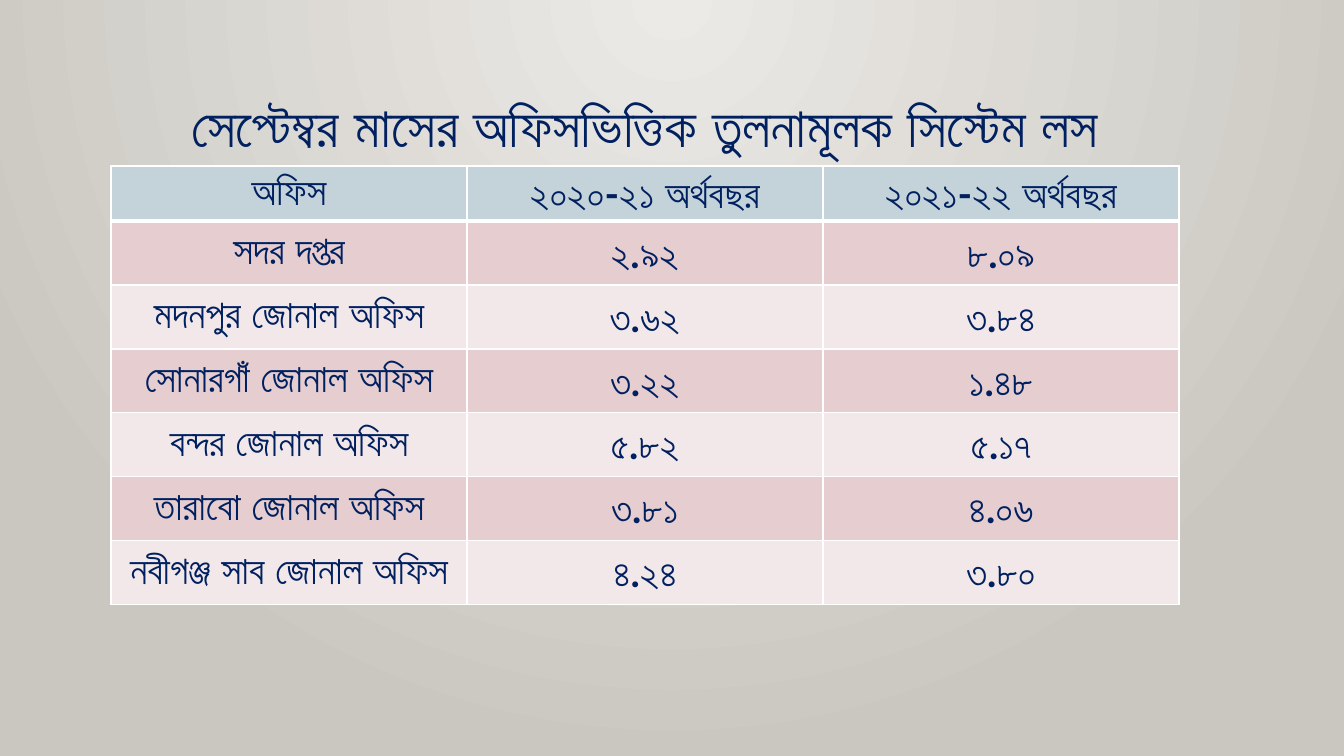
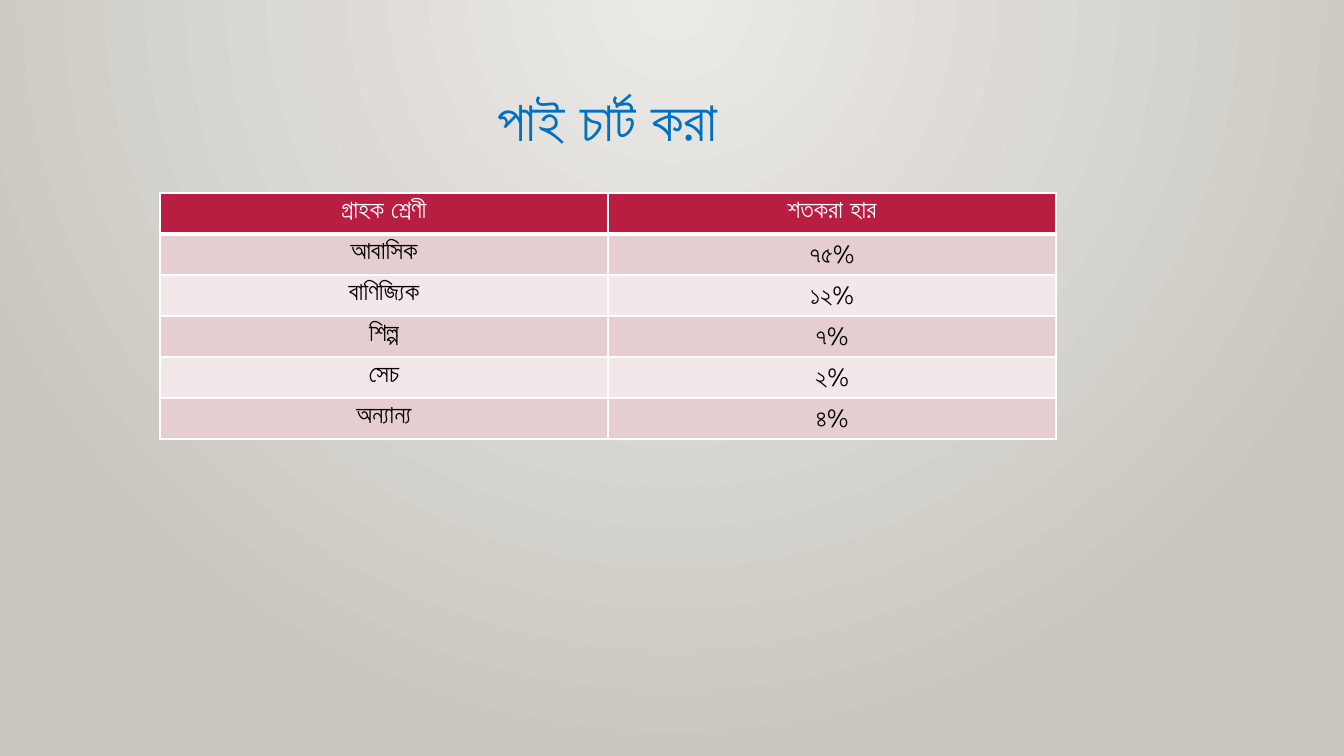
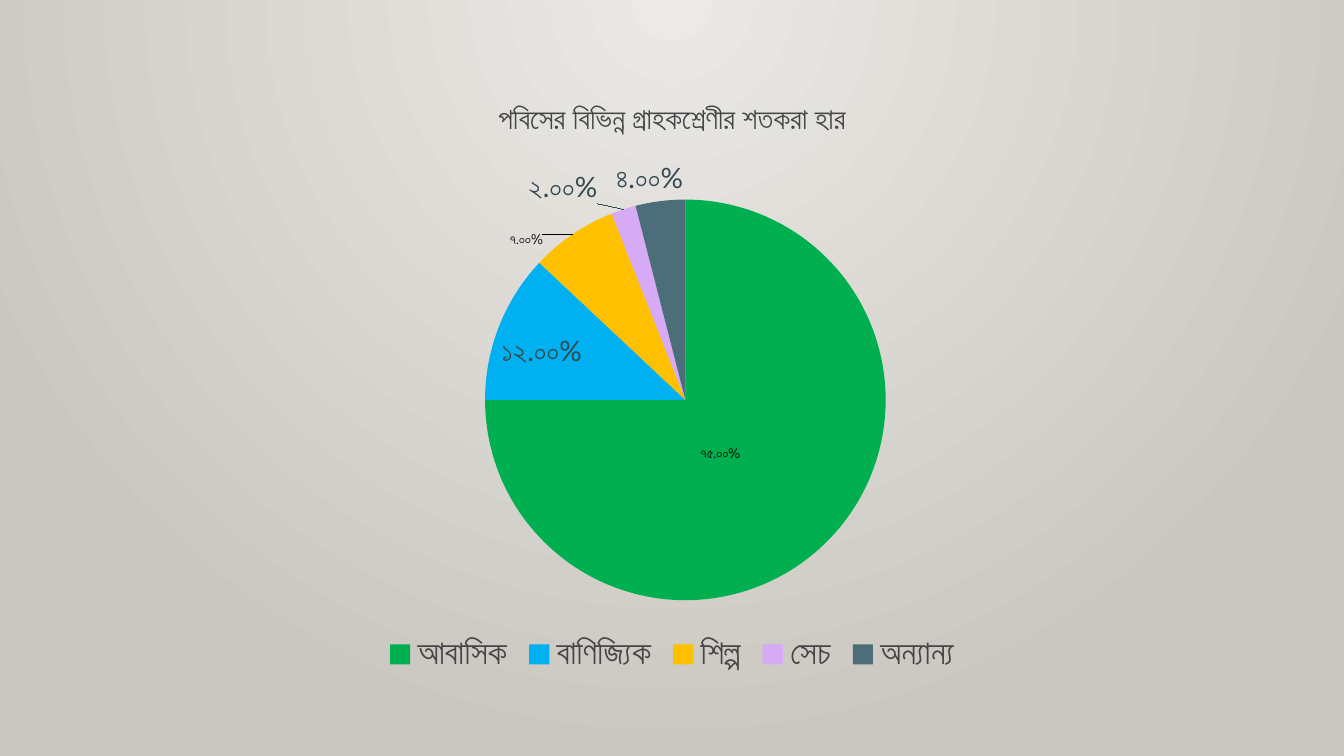
from copy import deepcopy

from lxml.etree import SubElement
from pptx import Presentation
from pptx.chart.data import CategoryChartData
from pptx.dml.color import RGBColor
from pptx.enum.chart import XL_CHART_TYPE, XL_LABEL_POSITION, XL_LEGEND_POSITION
from pptx.enum.text import MSO_ANCHOR, MSO_AUTO_SIZE, PP_ALIGN
from pptx.oxml import parse_xml
from pptx.oxml.ns import nsdecls, qn
from pptx.util import Emu, Pt

# Shared style
BACK_CENTRE = RGBColor(0xEC, 0xEA, 0xE7)
BACK_EDGE = RGBColor(0xCA, 0xC7, 0xC1)
NAVY = RGBColor(0x00, 0x20, 0x60)
BLUE = RGBColor(0x00, 0x70, 0xC0)
CRIMSON = RGBColor(0xB7, 0x1E, 0x42)
PALE_BLUE = RGBColor(0xC3, 0xD3, 0xD9)
BAND_DARK = RGBColor(0xE6, 0xCD, 0xCF)
BAND_LIGHT = RGBColor(0xF3, 0xE8, 0xE9)
WHITE = RGBColor(0xFF, 0xFF, 0xFF)
BLACK = RGBColor(0x00, 0x00, 0x00)
GREY = RGBColor(0x45, 0x45, 0x45)
SLATE = RGBColor(0x33, 0x4A, 0x51)
SLICES = [RGBColor.from_string(code) for code in
          ("00B050", "00B0F0", "FFC000", "D7AAF6", "4C6E7A")]
HEAD_FONT, BODY_FONT = "Lato", "Cabin"
TITLE_ONLY, BLANK = 5, 6


def px(count):
    return Emu(round(count * 914400 / 100.8))


def style(font, name, size, color, bold=False):
    font.name, font.size, font.bold = name, Pt(size), bold
    font.color.rgb = color


def manual_layout(**values):
    layout = parse_xml(f"<c:layout {nsdecls('c')}><c:manualLayout/></c:layout>")
    for tag, value in values.items():
        SubElement(layout[0], qn(f"c:{tag}")).set("val", str(value))
    return layout


class Report:
    def __init__(self):
        self.deck = Presentation()
        self.deck.slide_width, self.deck.slide_height = px(1344), px(756)
        self.page = None
        self.paint_background()

    def paint_background(self):
        master = self.deck.slide_master
        fill = master.background.fill
        fill.gradient()
        for stop, color in zip(fill.gradient_stops, (BACK_CENTRE, BACK_EDGE)):
            stop.color.rgb = color
        gradient = master.element.find(".//" + qn("a:gradFill"))
        gradient.replace(gradient.find(qn("a:lin")), parse_xml(
            f'<a:path {nsdecls("a")} path="circle">'
            '<a:fillToRect l="43000" t="0" r="43000" b="100000"/></a:path>'))

    def add_page(self, layout):
        self.page = self.deck.slides.add_slide(self.deck.slide_layouts[layout])

    def title(self, text, left, top, width, color):
        box = self.page.shapes.title
        box.left, box.top, box.width, box.height = map(px, (left, top, width, 78))
        frame = box.text_frame
        frame.text = text
        frame.word_wrap = True
        frame.auto_size = MSO_AUTO_SIZE.SHAPE_TO_FIT_TEXT
        frame.vertical_anchor = MSO_ANCHOR.TOP
        para = frame.paragraphs[0]
        para.alignment = PP_ALIGN.CENTER
        style(para.font, HEAD_FONT, 40, color, True)

    def borders(self, cell, row):
        heavy = {0: "B", 1: "T"}.get(row)
        for place, side in enumerate("LRTB"):
            width = Pt(3 if side == heavy else 1)
            cell.get_or_add_tcPr().insert(place, parse_xml(
                f'<a:ln{side} {nsdecls("a")} w="{width}"><a:solidFill>'
                f'<a:srgbClr val="{WHITE}"/></a:solidFill></a:ln{side}>'))

    def table(self, rows, left, top, column_width, heights, head_fill,
              fonts, anchor, margins):
        """fonts holds the header style and the body style."""
        columns = len(rows[0])
        head_height, row_height = heights
        total = head_height + row_height * (len(rows) - 1)
        table = self.page.shapes.add_table(
            len(rows), columns, px(left), px(top),
            px(column_width * columns), px(total)).table
        table.horz_banding = False
        for column in table.columns:
            column.width = px(column_width)
        side, edge = map(px, margins)
        for r, texts in enumerate(rows):
            table.rows[r].height = px(row_height if r else head_height)
            fill = (BAND_LIGHT, BAND_DARK)[r % 2] if r else head_fill
            for c, text in enumerate(texts):
                cell = table.cell(r, c)
                cell.text = text
                cell.vertical_anchor = anchor
                cell.margin_left = cell.margin_right = side
                cell.margin_top = cell.margin_bottom = edge
                cell.fill.solid()
                cell.fill.fore_color.rgb = fill
                self.borders(cell._tc, r)
                para = cell.text_frame.paragraphs[0]
                para.alignment = PP_ALIGN.CENTER
                style(para.font, *fonts[min(r, 1)])

    def pie(self, title, shares, left, top, width, height, moved_labels):
        data = CategoryChartData()
        data.categories = list(shares)
        data.add_series("Series 1", list(shares.values()))
        chart = self.page.shapes.add_chart(
            XL_CHART_TYPE.PIE, *map(px, (left, top, width, height)), data).chart
        style(chart.font, BODY_FONT, 10, BLACK)
        chart.has_title = True
        frame = chart.chart_title.text_frame
        frame.text = title
        style(frame.paragraphs[0].font, HEAD_FONT, 21, GREY)
        chart.chart_title.include_in_layout = False
        chart.has_legend = True
        chart.legend.position = XL_LEGEND_POSITION.BOTTOM
        chart.legend.include_in_layout = False
        style(chart.legend.font, HEAD_FONT, 24, GREY)

        # Slices
        plot = chart.plots[0]
        plot.vary_by_categories = True
        series = plot.series[0]
        for index, color in enumerate(SLICES):
            fill = series.points[index].format.fill
            fill.solid()
            fill.fore_color.rgb = color
        area = chart._chartSpace.chart.plotArea
        for old in area.findall(qn("c:layout")):
            area.remove(old)
        area.insert(0, manual_layout(layoutTarget="inner", xMode="edge", yMode="edge",
                                     x=0.29, y=0.2, w=0.45, h=0.67))

        # Labels
        labels = series.data_labels
        labels.show_value = True
        labels.number_format = "[$-5000445]0.00%"
        labels.number_format_is_linked = False
        labels.position = XL_LABEL_POSITION.BEST_FIT
        style(labels.font, HEAD_FONT, 20, SLATE)
        group = labels._element
        shared = [group.find(qn(tag)) for tag in ("c:numFmt", "c:txPr")]
        for index, (position, x, y) in moved_labels.items():
            series.points[index].data_label.position = position
            label = next(item for item in group.findall(qn("c:dLbl"))
                         if item.find(qn("c:idx")).get("val") == str(index))
            parts = [manual_layout(x=x, y=y), *map(deepcopy, shared)]
            for place, part in enumerate(parts, 1):
                label.insert(place, part)


def main():
    report = Report()

    # System loss by office
    report.add_page(TITLE_ONLY)
    report.title("সেপ্টেম্বর মাসের অফিসভিত্তিক তুলনামূলক সিস্টেম লস", 120, 86, 1049, NAVY)
    office_rows = [
        ("অফিস", "২০২০-২১ অর্থবছর", "২০২১-২২ অর্থবছর"),
        ("সদর দপ্তর", "২.৯২", "৮.০৯"),
        ("মদনপুর জোনাল অফিস", "৩.৬২", "৩.৮৪"),
        ("সোনারগাঁ জোনাল অফিস", "৩.২২", "১.৪৮"),
        ("বন্দর জোনাল অফিস", "৫.৮২", "৫.১৭"),
        ("তারাবো জোনাল অফিস", "৩.৮১", "৪.০৬"),
        ("নবীগঞ্জ সাব জোনাল অফিস", "৪.২৪", "৩.৮০"),
    ]
    report.table(office_rows, 111, 166, 356, (55, 64), PALE_BLUE,
                 [(HEAD_FONT, 28, NAVY, True)] * 2, MSO_ANCHOR.MIDDLE, (7, 3))

    # Customer classes as a table
    report.add_page(TITLE_ONLY)
    report.title("পাই চার্ট করা", 272, 80, 671, BLUE)
    class_rows = [
        ("গ্রাহক শ্রেণী", "শতকরা হার"),
        ("আবাসিক", "৭৫%"),
        ("বাণিজ্যিক", "১২%"),
        ("শিল্প", "৭%"),
        ("সেচ", "২%"),
        ("অন্যান্য", "৪%"),
    ]
    report.table(class_rows, 160, 193, 448, (41, 41), CRIMSON,
                 [(BODY_FONT, 18, WHITE, True), (BODY_FONT, 18, BLACK)],
                 MSO_ANCHOR.TOP, (10, 5))

    # Customer classes as a pie
    report.add_page(BLANK)
    names = [name for name, _ in class_rows[1:]]
    shares = dict(zip(names, (0.75, 0.12, 0.07, 0.02, 0.04)))
    report.pie("পবিসের বিভিন্ন গ্রাহকশ্রেণীর শতকরা হার", shares, 224, 80, 896, 598,
               {0: (XL_LABEL_POSITION.CENTER, -0.04, -0.03),
                2: (XL_LABEL_POSITION.OUTSIDE_END, -0.03, 0.03)})

    report.deck.save("out.pptx")


if __name__ == "__main__":
    main()
